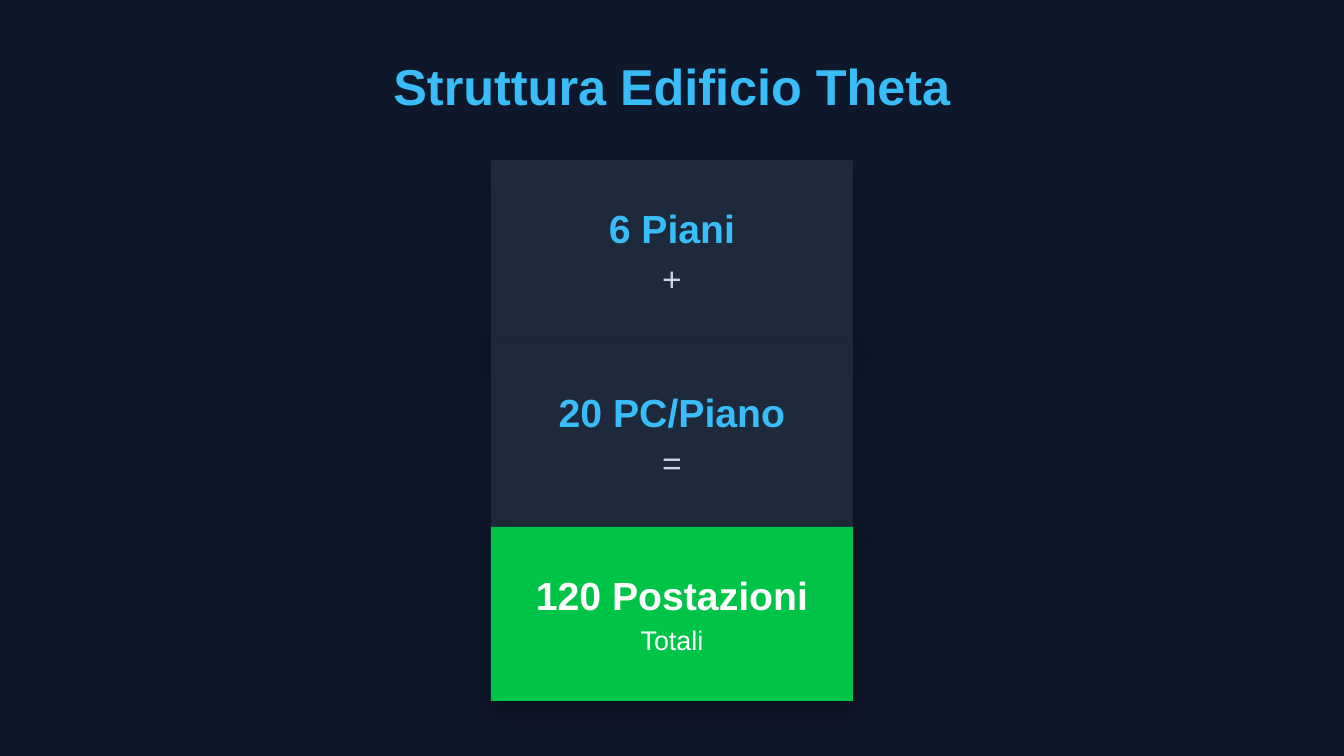
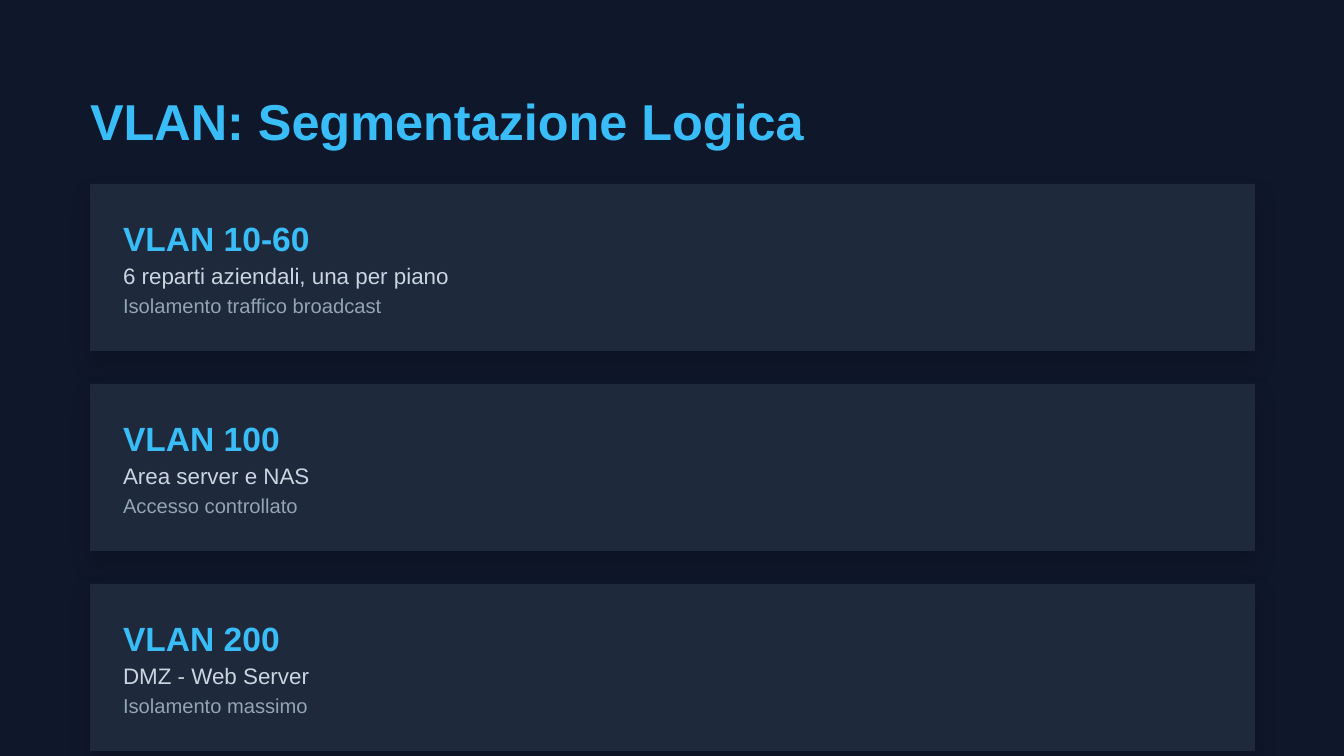
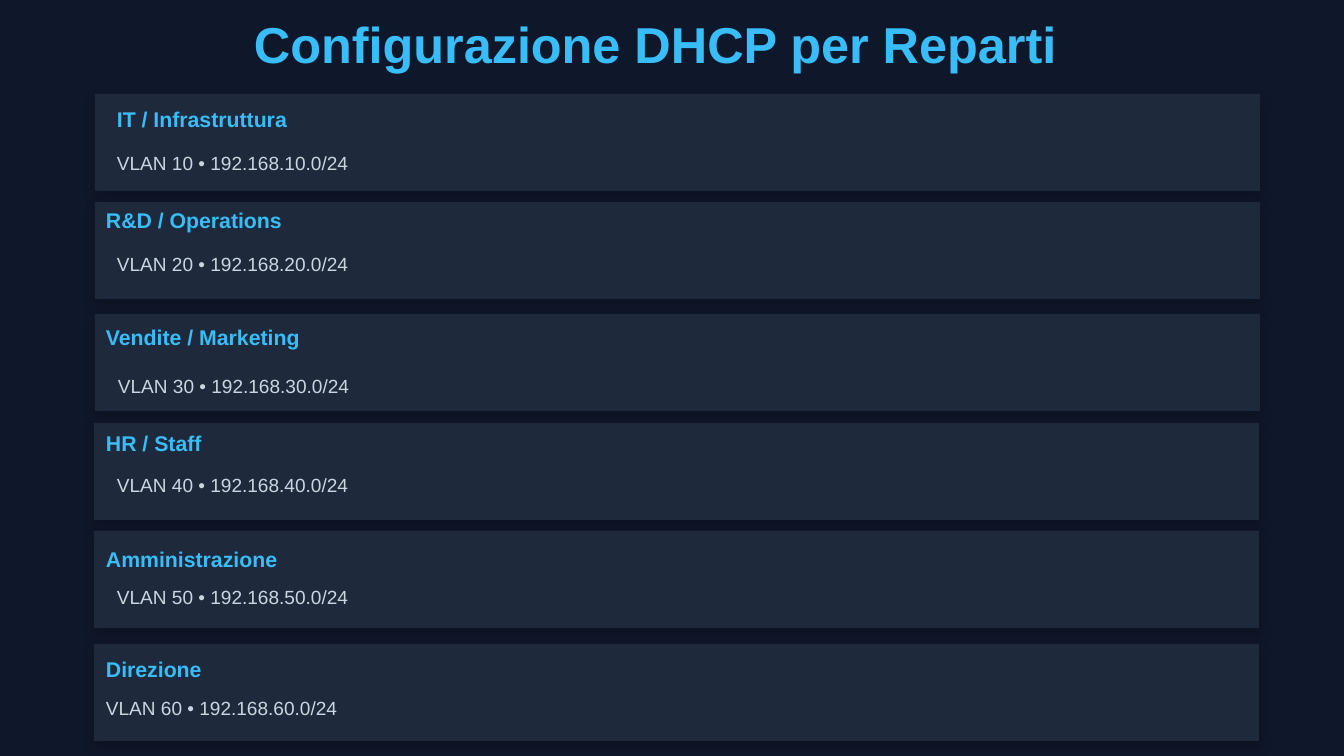
from lxml.etree import SubElement
from pptx import Presentation
from pptx.dml.color import RGBColor
from pptx.enum.shapes import MSO_SHAPE
from pptx.enum.text import MSO_ANCHOR, MSO_AUTO_SIZE, PP_ALIGN
from pptx.oxml.ns import qn
from pptx.util import Pt

COLORS = {
    "background": "0F172A",
    "card": "1E293B",
    "total": "00C447",
    "accent": "38BDF8",
    "light": "CBD5E1",
    "muted": "94A3B8",
    "white": "FFFFFF",
    "shadow": "000000",
}
FONT = "Arial"
EMU_PER_PX = 914400 / 134.4
SLIDE_WIDTH, SLIDE_HEIGHT = 1344, 756
CARD_WIDTH = 1165
TITLE_WIDTH = 1188

BUILDING_TITLE = "Struttura Edificio Theta"
BUILDING_CARDS = [
    {"top": 160, "height": 184, "value": "6 Piani", "note": "+"},
    {"top": 344, "height": 184, "value": "20 PC/Piano", "note": "="},
    {"top": 527, "height": 174, "value": "120 Postazioni", "note": "Totali",
     "fill": "total", "value_color": "white", "note_color": "white",
     "note_size": 14.4, "opacity": 30},
]

VLAN_TITLE = "VLAN: Segmentazione Logica"
VLAN_CARDS = [
    ("VLAN 10-60", "6 reparti aziendali, una per piano", "Isolamento traffico broadcast"),
    ("VLAN 100", "Area server e NAS", "Accesso controllato"),
    ("VLAN 200", "DMZ - Web Server", "Isolamento massimo"),
]
VLAN_LINES = [
    {"offset": 34, "size": 18, "color": "accent", "bold": True},
    {"offset": 74, "size": 12, "color": "light"},
    {"offset": 105, "size": 10.8, "color": "muted"},
]

DHCP_TITLE = "Configurazione DHCP per Reparti"
DHCP_CARDS = [
    ("IT / Infrastruttura", (95, 94), (117, 106), (117, 148)),
    ("R&D / Operations", (95, 202), (106, 207), (117, 249)),
    ("Vendite / Marketing", (95, 314), (106, 324), (118, 371)),
    ("HR / Staff", (94, 423), (106, 430), (117, 470)),
    ("Amministrazione", (94, 531), (106, 546), (117, 582)),
    ("Direzione", (94, 644), (106, 656), (106, 693)),
]


def px(length):
    return round(length * EMU_PER_PX)


def rgb(name):
    return RGBColor.from_string(COLORS[name])


def write(shape, text, left, top, width, size=12, color="light", bold=False,
          align=PP_ALIGN.LEFT):
    line_height = Pt(size * (1.2 if bold else 1.4))
    shape.left, shape.top = px(left), px(top)
    shape.width, shape.height = px(width), line_height
    frame = shape.text_frame
    frame.word_wrap = True
    frame.auto_size = MSO_AUTO_SIZE.NONE
    frame.vertical_anchor = MSO_ANCHOR.TOP
    frame.margin_left = frame.margin_top = frame.margin_right = frame.margin_bottom = 0
    paragraph = frame.paragraphs[0]
    paragraph.alignment = align
    paragraph.line_spacing = line_height
    run = paragraph.add_run()
    run.text = text
    run.font.name = FONT
    run.font.size = Pt(size)
    run.font.bold = bold
    run.font.color.rgb = rgb(color)


def add_text(slide, text, left, top, width, **style):
    write(slide.shapes.add_textbox(0, 0, 0, 0), text, left, top, width, **style)


def add_card(slide, left, top, width, height, fill="card", opacity=20, blur=12):
    shape = slide.shapes.add_shape(
        MSO_SHAPE.RECTANGLE, px(left), px(top), px(width), px(height))
    shape.fill.solid()
    shape.fill.fore_color.rgb = rgb(fill)
    shape.line.fill.background()
    shape.shadow.inherit = False
    effects = shape._element.spPr.find(qn("a:effectLst"))
    shadow = SubElement(effects, qn("a:outerShdw"), blurRad=str(Pt(blur)),
                        dist=str(Pt(blur / 2)), dir="5400000", algn="ctr", rotWithShape="0")
    shade = SubElement(shadow, qn("a:srgbClr"), val=COLORS["shadow"])
    SubElement(shade, qn("a:alpha"), val=str(opacity * 1000))


def add_slide(presentation, title, left, top, width, align=PP_ALIGN.LEFT):
    slide = presentation.slides.add_slide(presentation.slide_layouts[5])
    write(slide.shapes.title, title, left, top, width, size=27, color="accent",
          bold=True, align=align)
    return slide


def build_building(presentation):
    slide = add_slide(presentation, BUILDING_TITLE, 388, 55, 568, align=PP_ALIGN.CENTER)
    for card in BUILDING_CARDS:
        add_card(slide, 491, card["top"], 362, card["height"],
                 fill=card.get("fill", "card"), opacity=card.get("opacity", 20))
    for card in BUILDING_CARDS:
        add_text(slide, card["value"], 533, card["top"] + 44, 278, size=21, bold=True,
                 color=card.get("value_color", "accent"), align=PP_ALIGN.CENTER)
        add_text(slide, card["note"], 533, card["top"] + 91, 278,
                 size=card.get("note_size", 18),
                 color=card.get("note_color", "light"), align=PP_ALIGN.CENTER)


def build_vlan(presentation):
    slide = add_slide(presentation, VLAN_TITLE, 90, 90, TITLE_WIDTH)
    tops = [184 + 200 * index for index in range(len(VLAN_CARDS))]
    for top in tops:
        add_card(slide, 90, top, CARD_WIDTH, 167)
    for top, texts in zip(tops, VLAN_CARDS):
        for text, line in zip(texts, VLAN_LINES):
            add_text(slide, text, 123, top + line["offset"], 1120, size=line["size"],
                     color=line["color"], bold=line.get("bold", False))


def build_dhcp(presentation):
    slide = add_slide(presentation, DHCP_TITLE, 254, 13, TITLE_WIDTH)
    for _, (left, top), _, _ in DHCP_CARDS:
        add_card(slide, left, top, CARD_WIDTH, 97, blur=6)
    for number, (department, _, heading, detail) in enumerate(DHCP_CARDS, start=1):
        vlan = number * 10
        add_text(slide, department, *heading, 1142, size=11.4, color="accent", bold=True)
        add_text(slide, f"VLAN {vlan} • 192.168.{vlan}.0/24", *detail, 1142, size=10.2)


def main():
    """Build the three network design slides."""
    presentation = Presentation()
    presentation.slide_width = px(SLIDE_WIDTH)
    presentation.slide_height = px(SLIDE_HEIGHT)
    background = presentation.slide_master.background.fill
    background.solid()
    background.fore_color.rgb = rgb("background")
    build_building(presentation)
    build_vlan(presentation)
    build_dhcp(presentation)
    presentation.save("out.pptx")


if __name__ == "__main__":
    main()
